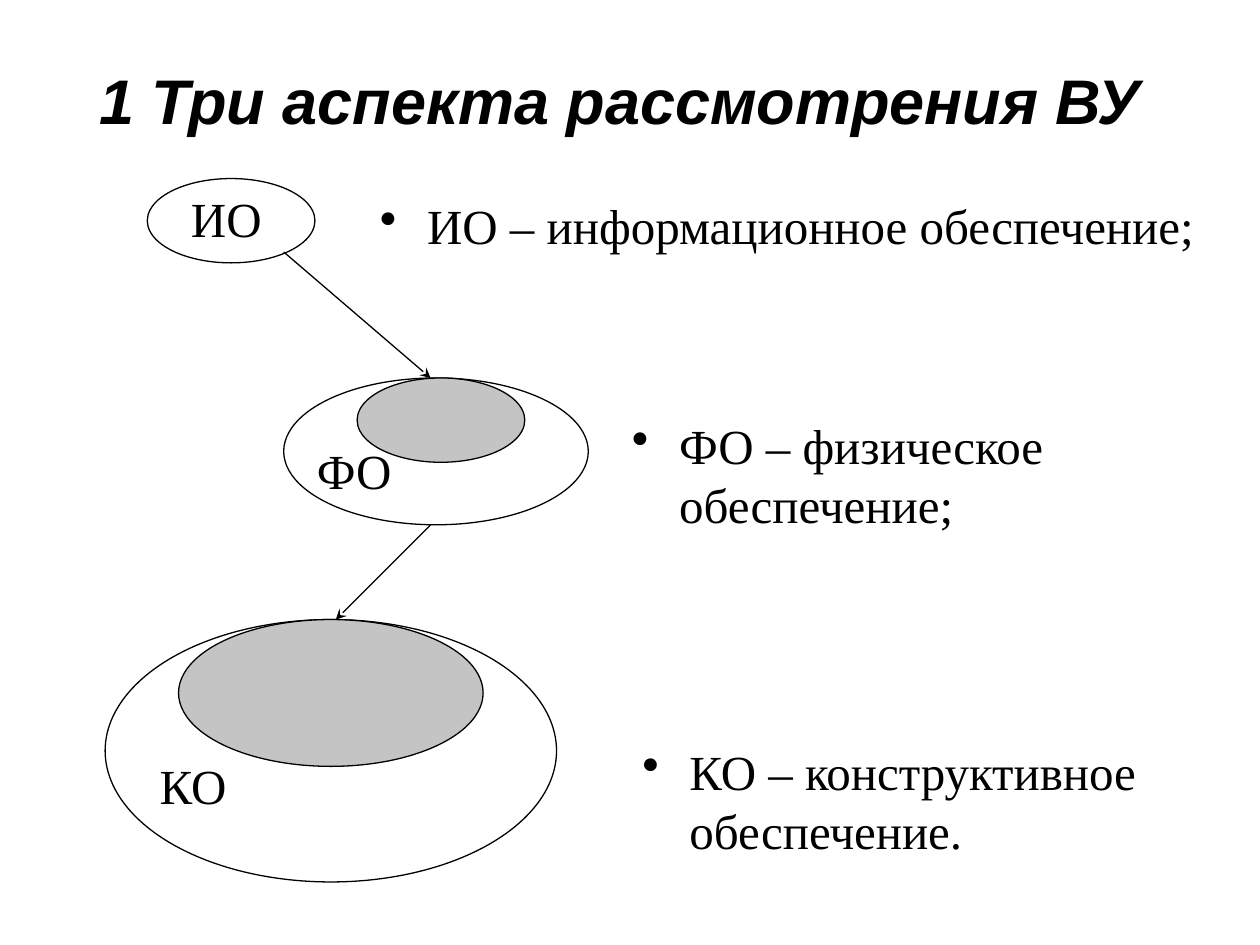
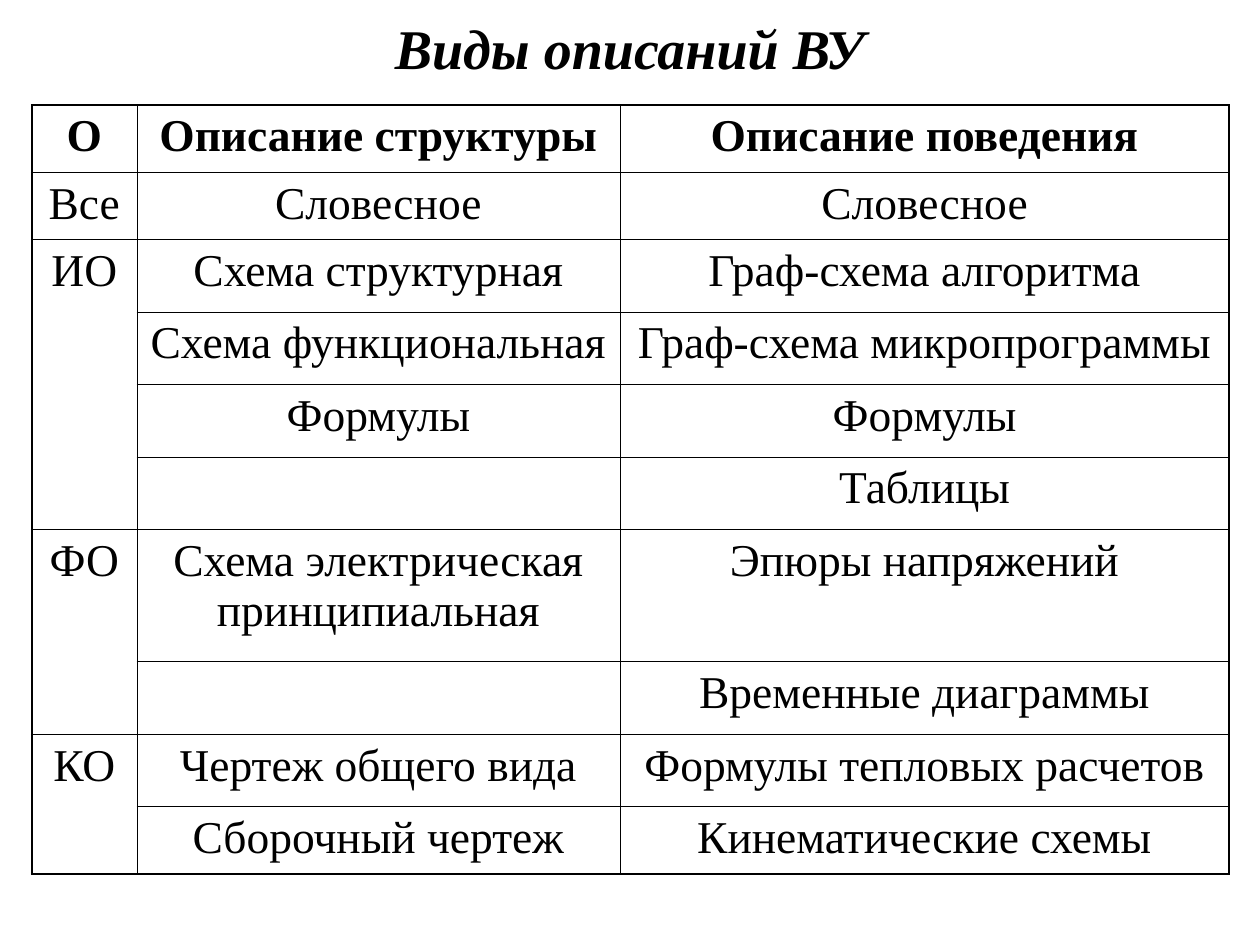
"""Build two slides on the three aspects of a computing device and its kinds of description."""
from dataclasses import dataclass

import pptx
import pptx.dml.color
import pptx.enum.shapes
import pptx.enum.text
import pptx.oxml
import pptx.oxml.ns
import pptx.util

Cm, Pt = pptx.util.Cm, pptx.util.Pt
qn = pptx.oxml.ns.qn
ALIGN = pptx.enum.text.PP_ALIGN
ANCHOR = pptx.enum.text.MSO_ANCHOR
OVAL = pptx.enum.shapes.MSO_SHAPE.OVAL
STRAIGHT = pptx.enum.shapes.MSO_CONNECTOR.STRAIGHT


@dataclass(frozen=True)
class Theme:
    ink: str = "000000"
    paper: str = "FFFFFF"
    core: str = "C4C4C4"
    sans: str = "Arial"
    serif: str = "Times New Roman"
    body_size: float = 28
    table_size: float = 26
    body_gap: float = 7
    table_gap: float = 6.5
    outline: float = 0.74
    outer_border: float = 1.08
    inner_border: float = 0.45
    hang: float = 0.95


THEME = Theme()

ASPECTS_TITLE = ("1 Три аспекта рассмотрения ВУ", (0.64, 0.21, 23.71, 3.6), THEME.sans, 36)
KINDS_TITLE = ("Виды описаний ВУ", (0, 0.21, 25.4, 1.48), THEME.serif, 32)

ASPECTS = [
    {"name": "ИО", "oval": (2.97, 3.6, 3.38, 1.7), "core_left": None, "label": (3.6, 3.81),
     "note": "ИО – информационное обеспечение;", "note_at": (7.41, 3.81, 17.35, 1.9),
     "align": ALIGN.JUSTIFY},
    {"name": "ФО", "oval": (5.72, 7.62, 6.14, 2.96), "core_left": 7.2, "label": (6.14, 8.89),
     "note": "ФО – физическое обеспечение;", "note_at": (12.49, 8.26, 12.28, 4.87),
     "align": ALIGN.LEFT},
    {"name": "КО", "oval": (2.12, 12.49, 9.1, 5.29), "core_left": 3.6, "label": (2.97, 15.24),
     "note": "КО – конструктивное обеспечение.", "note_at": (12.7, 14.82, 11.64, 2.75),
     "align": ALIGN.LEFT},
]
LABEL_SIZE = (2.12, 1.48)
ARROWS = [(5.72, 5.08, 8.68, 7.62), (8.68, 10.58, 6.77, 12.49)]

TABLE_AT = (0.64, 2.12)
COLUMN_WIDTHS = [2.12, 9.74, 12.28]
HEADER = ("О", "Описание структуры", "Описание поведения")
KINDS = [
    ("Все", [("Словесное", "Словесное")]),
    ("ИО", [("Схема структурная", "Граф-схема алгоритма"),
            ("Схема функциональная", "Граф-схема микропрограммы"),
            ("Формулы", "Формулы"),
            ("", "Таблицы")]),
    ("ФО", [("Схема электрическая принципиальная", "Эпюры напряжений"),
            ("", "Временные диаграммы")]),
    ("КО", [("Чертеж общего вида", "Формулы тепловых расчетов"),
            ("Сборочный чертеж", "Кинематические схемы")]),
]
ROW_HEIGHTS = [1.35, 1.35, 1.46, 1.46, 1.46, 1.46, 2.67, 1.46, 1.46, 1.35]
PLAIN_TABLE = "{2D5ABB26-0587-4C30-8999-92F81FD0307C}"


def color(value):
    return pptx.dml.color.RGBColor.from_string(value)


def write(para, text, font, size, strong=False, slanted=False):
    span = para.add_run()
    span.text = text
    span.font.name = font
    span.font.size = Pt(size)
    span.font.bold = strong
    span.font.italic = slanted
    span.font.color.rgb = color(THEME.ink)


def add_box(shapes, place):
    box = shapes.add_textbox(*map(Cm, place))
    box.text_frame.word_wrap = True
    return box.text_frame


def add_page(deck, title):
    text, place, font, size = title
    page = deck.slides.add_slide(deck.slide_layouts[6])
    page.background.fill.solid()
    page.background.fill.fore_color.rgb = color(THEME.paper)
    frame = add_box(page.shapes, place)
    frame.vertical_anchor = ANCHOR.MIDDLE
    para = frame.paragraphs[0]
    para.alignment = ALIGN.CENTER
    write(para, text, font, size, strong=True, slanted=True)
    return page


def add_body(shapes, place, text, align, bullet=False):
    para = add_box(shapes, place).paragraphs[0]
    para.alignment = align
    para.space_before = Pt(THEME.body_gap)
    if bullet:
        props = para._p.get_or_add_pPr()
        props.set("marL", str(Cm(THEME.hang)))
        props.set("indent", str(-Cm(THEME.hang)))
        mark = pptx.oxml.parse_xml(f'<a:buChar {pptx.oxml.ns.nsdecls("a")} char="•"/>')
        props.append(mark)
    else:
        para.line_spacing = 0.9
    write(para, text, THEME.serif, THEME.body_size)


def add_oval(shapes, place, fill=None):
    oval = shapes.add_shape(OVAL, *map(Cm, place))
    oval.shadow.inherit = False
    if fill:
        oval.fill.solid()
        oval.fill.fore_color.rgb = color(fill)
    else:
        oval.fill.background()
    oval.line.color.rgb = color(THEME.ink)
    oval.line.width = Pt(THEME.outline)


def add_arrow(shapes, ends):
    arrow = shapes.add_connector(STRAIGHT, *map(Cm, ends))
    arrow.line.color.rgb = color(THEME.ink)
    arrow.line.width = Pt(THEME.outline)
    props = arrow._element.spPr
    namespace = pptx.oxml.ns.nsdecls("a")
    props.find(qn("a:ln")).append(pptx.oxml.parse_xml(f'<a:tailEnd {namespace} type="stealth"/>'))
    props.append(pptx.oxml.parse_xml(f"<a:effectLst {namespace}/>"))


def add_diagram(page):
    shapes = page.shapes.add_group_shape().shapes
    core_size = None
    for aspect in ASPECTS:
        oval = aspect["oval"]
        add_oval(shapes, oval)
        if core_size:
            add_oval(shapes, (aspect["core_left"], oval[1], *core_size), THEME.core)
        add_body(shapes, (*aspect["label"], *LABEL_SIZE), aspect["name"], ALIGN.JUSTIFY)
        core_size = oval[2:]
    for ends in ARROWS:
        add_arrow(shapes, ends)
    for aspect in ASPECTS:
        add_body(page.shapes, aspect["note_at"], aspect["note"], aspect["align"], bullet=True)


def set_borders(cell, outer_sides):
    props = cell._tc.get_or_add_tcPr()
    for side in "LRTB":
        width = THEME.outer_border if side in outer_sides else THEME.inner_border
        props.append(pptx.oxml.parse_xml(
            f'<a:ln{side} {pptx.oxml.ns.nsdecls("a")} w="{Pt(width)}"><a:solidFill>'
            f'<a:srgbClr val="{THEME.ink}"/></a:solidFill></a:ln{side}>'))


def fill_cell(cell, text, strong):
    para = cell.text_frame.paragraphs[0]
    para.alignment = ALIGN.CENTER
    para.space_before = Pt(THEME.table_gap)
    if text:
        write(para, text, THEME.serif, THEME.table_size, strong)


def add_kinds_table(page):
    rows = [HEADER]
    merges = []
    for name, pairs in KINDS:
        merges.append((len(rows), len(rows) + len(pairs) - 1))
        rows += [(name if i == 0 else "", *pair) for i, pair in enumerate(pairs)]
    size = (sum(COLUMN_WIDTHS), sum(ROW_HEIGHTS))
    frame = page.shapes.add_table(len(rows), len(HEADER), *map(Cm, TABLE_AT + size))
    table = frame.table
    table.first_row = table.horz_banding = False
    table._tbl.tblPr.find(qn("a:tableStyleId")).text = PLAIN_TABLE
    for column, width in zip(table.columns, COLUMN_WIDTHS):
        column.width = Cm(width)
    for row, height in zip(table.rows, ROW_HEIGHTS):
        row.height = Cm(height)
    for first, last in merges:
        if last > first:
            table.cell(first, 0).merge(table.cell(last, 0))
    for r, texts in enumerate(rows):
        for c, text in enumerate(texts):
            cell = table.cell(r, c)
            if not cell.is_spanned:
                bottom = r + (cell.span_height if cell.is_merge_origin else 1)
                edges = {"L": c == 0, "R": c == len(HEADER) - 1,
                         "T": r == 0, "B": bottom == len(rows)}
                set_borders(cell, [side for side, outer in edges.items() if outer])
                fill_cell(cell, text, strong=r == 0)
            cell.fill.background()


deck = pptx.Presentation()
deck.slide_width, deck.slide_height = Cm(25.4), Cm(19.05)
add_diagram(add_page(deck, ASPECTS_TITLE))
add_kinds_table(add_page(deck, KINDS_TITLE))
deck.save("out.pptx")
